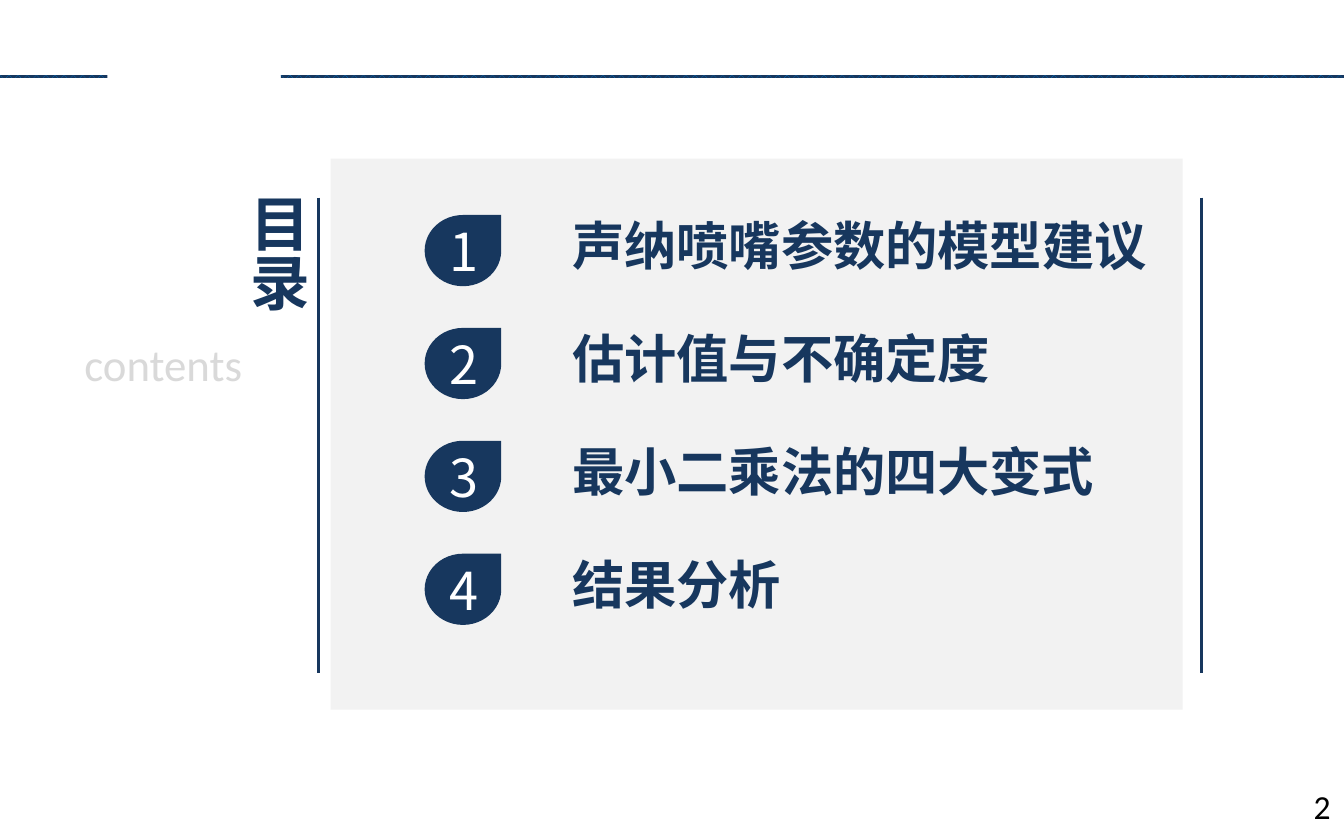
from lxml import etree
from pptx import Presentation
from pptx.dml.color import RGBColor
from pptx.enum.dml import MSO_PATTERN
from pptx.enum.shapes import MSO_CONNECTOR, MSO_SHAPE
from pptx.enum.text import MSO_ANCHOR, MSO_AUTO_SIZE, PP_ALIGN
from pptx.oxml.ns import qn
from pptx.util import Inches, Pt

RECT, DROP = MSO_SHAPE.RECTANGLE, MSO_SHAPE.TEAR
LEFT, CENTER, RIGHT = PP_ALIGN.LEFT, PP_ALIGN.CENTER, PP_ALIGN.RIGHT
TOP, MIDDLE = MSO_ANCHOR.TOP, MSO_ANCHOR.MIDDLE
GROW = MSO_AUTO_SIZE.SHAPE_TO_FIT_TEXT
STRAIGHT = MSO_CONNECTOR.STRAIGHT
HALF = MSO_PATTERN.PERCENT_50

WIDTH, HEIGHT = 10, 6.25
NAVY, BLUE, GRAY, PALE = "17375E", "0070C0", "D9D9D9", "F2F2F2"
WHITE, BLACK = "FFFFFF", "000000"
HAN, LATIN = "Noto Sans CJK SC", "Calibri"

# Agenda rows: first row top, row pitch, and each topic with its box width
FIRST, PITCH = 1.6, 0.84
TOPICS = [
    ("声纳喷嘴参数的模型建议", 4.85),
    ("估计值与不确定度", 3.88),
    ("最小二乘法的四大变式", 4.37),
    ("结果分析", 3.2),
]


def color(code):
    return RGBColor.from_string(code)


def place(shape, box):
    shape.left, shape.top, shape.width, shape.height = map(Inches, box)


def write(shape, text, size, font, code, bold=False, align=LEFT, anchor=TOP):
    frame = shape.text_frame
    frame.vertical_anchor = anchor
    para = frame.paragraphs[0]
    para.alignment = align
    run = para.add_run()
    run.text = text
    run.font.size = Pt(size)
    run.font.name = font
    run.font.bold = bold
    run.font.color.rgb = color(code)
    # East Asian glyphs take their own typeface
    east = etree.SubElement(run.font._element, qn("a:ea"))
    east.set("typeface", font)


def label(shapes, box, text, size, font, code, wrap=True, **style):
    shape = shapes.add_textbox(*map(Inches, box))
    shape.text_frame.word_wrap = wrap
    write(shape, text, size, font, code, **style)
    return shape


def block(shapes, kind, box, code):
    shape = shapes.add_shape(kind, *map(Inches, box))
    shape.shadow.inherit = False
    shape.fill.solid()
    shape.fill.fore_color.rgb = color(code)
    shape.line.fill.background()
    return shape


def band(shapes, left, width):
    shape = block(shapes, RECT, (left, 0.56, width, 0.02), NAVY)
    shape.fill.patterned()
    shape.fill.pattern = HALF
    shape.fill.fore_color.rgb = color(BLUE)
    shape.fill.back_color.rgb = color(NAVY)


def rule(shapes, x, top, end):
    line = shapes.add_connector(STRAIGHT, *map(Inches, (x, top, x, end)))
    line.line.color.rgb = color(NAVY)
    line.line.width = Pt(1.5)
    etree.SubElement(line._element.spPr, qn("a:effectLst"))


def heading(title):
    place(title, (1.66, 1.39, 0.78, 0.99))
    frame = title.text_frame
    frame.word_wrap = False
    frame.auto_size = GROW
    frame._txBody.bodyPr.set("vert", "eaVert")
    write(title, "目录", 32, HAN, NAVY, bold=True)


def agenda(shapes):
    block(shapes, RECT, (2.46, 1.18, 6.34, 4.1), PALE)
    for row, (topic, width) in enumerate(TOPICS):
        top = FIRST + row * PITCH
        drop = block(shapes, DROP, (3.16, top, 0.57, 0.53), NAVY)
        write(drop, str(row + 1), 28, HAN, WHITE, align=CENTER, anchor=MIDDLE)
        text = label(shapes, (4.16, top - 0.06, width, 0.57),
                     topic, 28, HAN, NAVY, bold=True)
        text.text_frame.auto_size = GROW


def main():
    deck = Presentation()
    deck.slide_width, deck.slide_height = Inches(WIDTH), Inches(HEIGHT)
    slide = deck.slides.add_slide(deck.slide_layouts[5])
    shapes = slide.shapes

    # Split band across the top
    band(shapes, 2.09, WIDTH - 2.09)
    band(shapes, 0, 0.8)

    # Heading and its caption
    heading(shapes.title)
    label(shapes, (0.53, 2.46, 1.55, 0.54), "contents", 24, LATIN, GRAY,
          wrap=False)

    # Side rules around the grouped agenda
    for x in (2.37, 8.94):
        rule(shapes, x, 1.47, 5.01)
    agenda(shapes.add_group_shape().shapes)

    # Page number
    label(shapes, (7.67, 5.8, 2.33, 0.33), "2", 18, LATIN, BLACK, align=RIGHT)

    deck.save("out.pptx")


if __name__ == "__main__":
    main()
